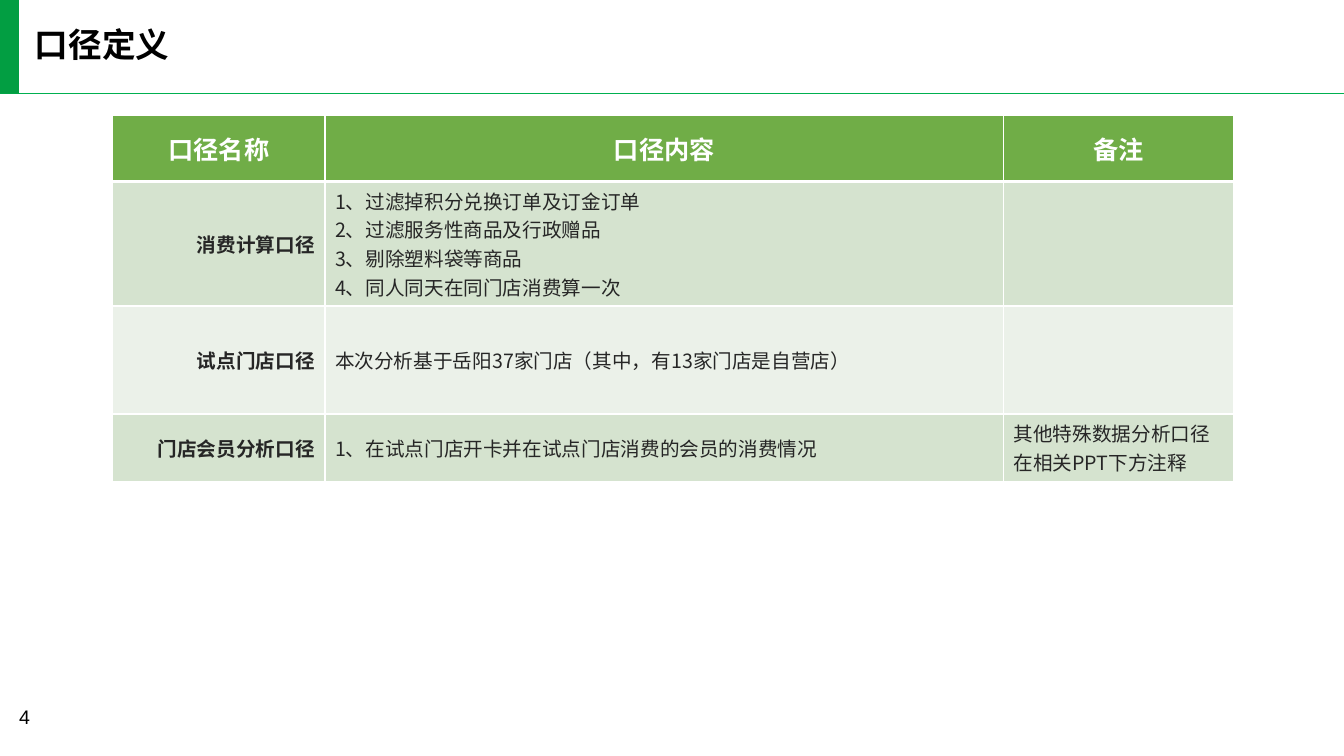
from dataclasses import dataclass

from lxml import etree
from pptx import Presentation
from pptx import util as u
from pptx.dml.color import RGBColor
from pptx.enum import shapes, text
from pptx.oxml import ns

CJK = "Noto Sans CJK SC"
WHITE, BLACK, DARK = "FFFFFF", "000000", "262626"
HEADER, BAND_DARK, BAND_LIGHT = "70AD47", "D5E3CF", "EBF1E9"
LEFT, CENTER, RIGHT = text.PP_ALIGN.LEFT, text.PP_ALIGN.CENTER, text.PP_ALIGN.RIGHT


@dataclass
class Style:
    size: float
    color: str
    bold: bool = False
    align: text.PP_ALIGN = LEFT
    font: str = CJK


@dataclass
class Row:
    height: float
    fill: str
    cells: tuple[str, str, str]
    styles: tuple[Style, Style, Style]
    margin: float | None = None
    bottom_border: float = 1


TITLE = Style(24, BLACK, True)
HEAD = Style(18, WHITE, True, CENTER)
NAME = Style(14, DARK, True, RIGHT)
BODY = Style(14, DARK)
NUMBER = Style(14, BLACK, font="Arial")
BODY_ROW = (NAME, BODY, BODY)

COLUMN_WIDTHS = (5.35, 17.1, 5.81)
ROWS = [
    Row(1.65, HEADER, ("口径名称", "口径内容", "备注"), (HEAD,) * 3, 0, 3),
    Row(3.14, BAND_DARK, (
        "消费计算口径",
        "1、过滤掉积分兑换订单及订金订单\n2、过滤服务性商品及行政赠品\n"
        "3、剔除塑料袋等商品\n4、同人同天在同门店消费算一次",
        ""), BODY_ROW),
    Row(2.72, BAND_LIGHT, (
        "试点门店口径", "本次分析基于岳阳37家门店（其中，有13家门店是自营店）", ""), BODY_ROW),
    Row(1.7, BAND_DARK, (
        "门店会员分析口径",
        "1、在试点门店开卡并在试点门店消费的会员的消费情况",
        "其他特殊数据分析口径在相关PPT下方注释"), BODY_ROW),
]


def rgb(value: str) -> RGBColor:
    return RGBColor.from_string(value)


def write(frame, content: str, style: Style) -> None:
    frame.text = content
    for paragraph in frame.paragraphs:
        paragraph.alignment = style.align
        font = paragraph.font
        font.size, font.bold, font.name = u.Pt(style.size), style.bold, style.font
        font.color.rgb = rgb(style.color)
        east_asian = etree.SubElement(paragraph._p.pPr.find(ns.qn("a:defRPr")), ns.qn("a:ea"))
        east_asian.set("typeface", CJK)


def set_margins(frame, margin: float) -> None:
    frame.margin_left = frame.margin_right = u.Cm(margin)
    frame.margin_top = frame.margin_bottom = u.Cm(margin)


def add_borders(cell, bottom: float) -> None:
    properties = cell._tc.get_or_add_tcPr()
    widths = {"a:lnL": 1, "a:lnR": 1, "a:lnT": 1, "a:lnB": bottom}
    for index, (side, width) in enumerate(widths.items()):
        border = etree.Element(ns.qn(side), w=str(u.Pt(width)))
        fill = etree.SubElement(border, ns.qn("a:solidFill"))
        etree.SubElement(fill, ns.qn("a:srgbClr"), val=WHITE)
        properties.insert(index, border)


def add_definitions(slide, left: float, top: float) -> None:
    frame = slide.shapes.add_table(
        len(ROWS), len(COLUMN_WIDTHS), u.Cm(left), u.Cm(top),
        u.Cm(sum(COLUMN_WIDTHS)), u.Cm(sum(row.height for row in ROWS)))
    table = frame.table
    for column, width in zip(table.columns, COLUMN_WIDTHS):
        column.width = u.Cm(width)
    for table_row, row in zip(table.rows, ROWS):
        table_row.height = u.Cm(row.height)
        for cell, content, style in zip(table_row.cells, row.cells, row.styles):
            cell.fill.solid()
            cell.fill.fore_color.rgb = rgb(row.fill)
            cell.vertical_anchor = text.MSO_ANCHOR.MIDDLE
            add_borders(cell, row.bottom_border)
            if row.margin is not None:
                set_margins(cell, row.margin)
            write(cell.text_frame, content, style)


def add_header(slide) -> None:
    # Rule below the title
    rule = slide.shapes.add_connector(
        shapes.MSO_CONNECTOR.STRAIGHT, 0, u.Cm(2.36), u.Cm(33.87), u.Cm(2.36))
    rule.line.color.rgb = rgb("00B050")
    rule.line.width = u.Pt(1)
    etree.SubElement(rule._element.spPr, ns.qn("a:effectLst"))

    # Title
    title = slide.shapes.title
    title.left, title.top = u.Cm(0.88), u.Cm(0.71)
    title.width, title.height = u.Cm(15.98), u.Cm(0.91)
    frame = title.text_frame
    set_margins(frame, 0)
    frame.auto_size = text.MSO_AUTO_SIZE.NONE
    frame.vertical_anchor = text.MSO_ANCHOR.MIDDLE
    write(frame, "口径定义", TITLE)
    frame.paragraphs[0].line_spacing = 0.9

    # Green accent at the left edge
    accent = slide.shapes.add_shape(
        shapes.MSO_SHAPE.RECTANGLE, 0, u.Cm(-0.03), u.Cm(0.48), u.Cm(2.39))
    accent.shadow.inherit = False
    accent.fill.solid()
    accent.fill.fore_color.rgb = rgb("029E42")
    accent.line.fill.background()


def add_page_number(slide) -> None:
    page_number = slide.shapes.add_textbox(u.Cm(0.23), u.Cm(17.65), u.Cm(2.31), u.Cm(1.02))
    page_number.text_frame.word_wrap = True
    write(page_number.text_frame, "4", NUMBER)


def main() -> None:
    deck = Presentation()
    deck.slide_width, deck.slide_height = u.Cm(33.87), u.Cm(19.05)
    slide = deck.slides.add_slide(deck.slide_layouts[5])
    add_header(slide)
    add_page_number(slide)
    add_definitions(slide, left=2.84, top=2.92)
    deck.save("out.pptx")


if __name__ == "__main__":
    main()
